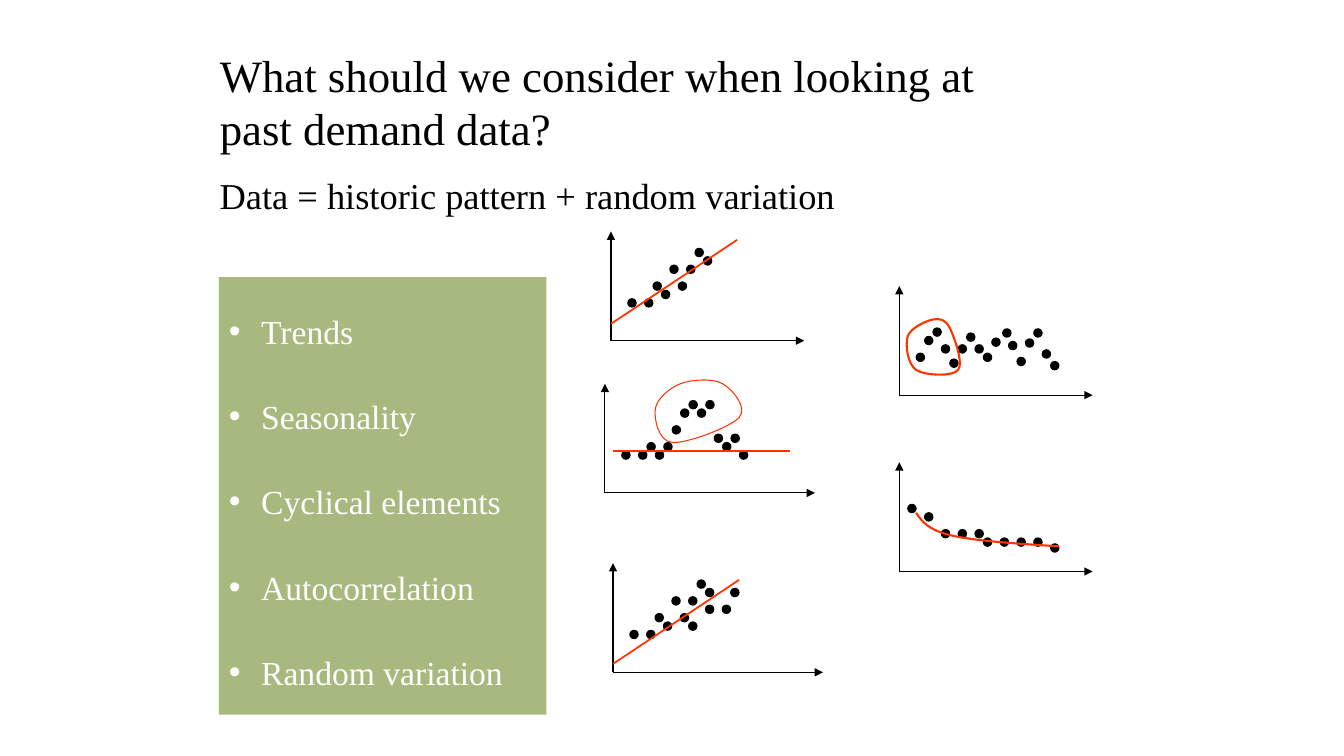
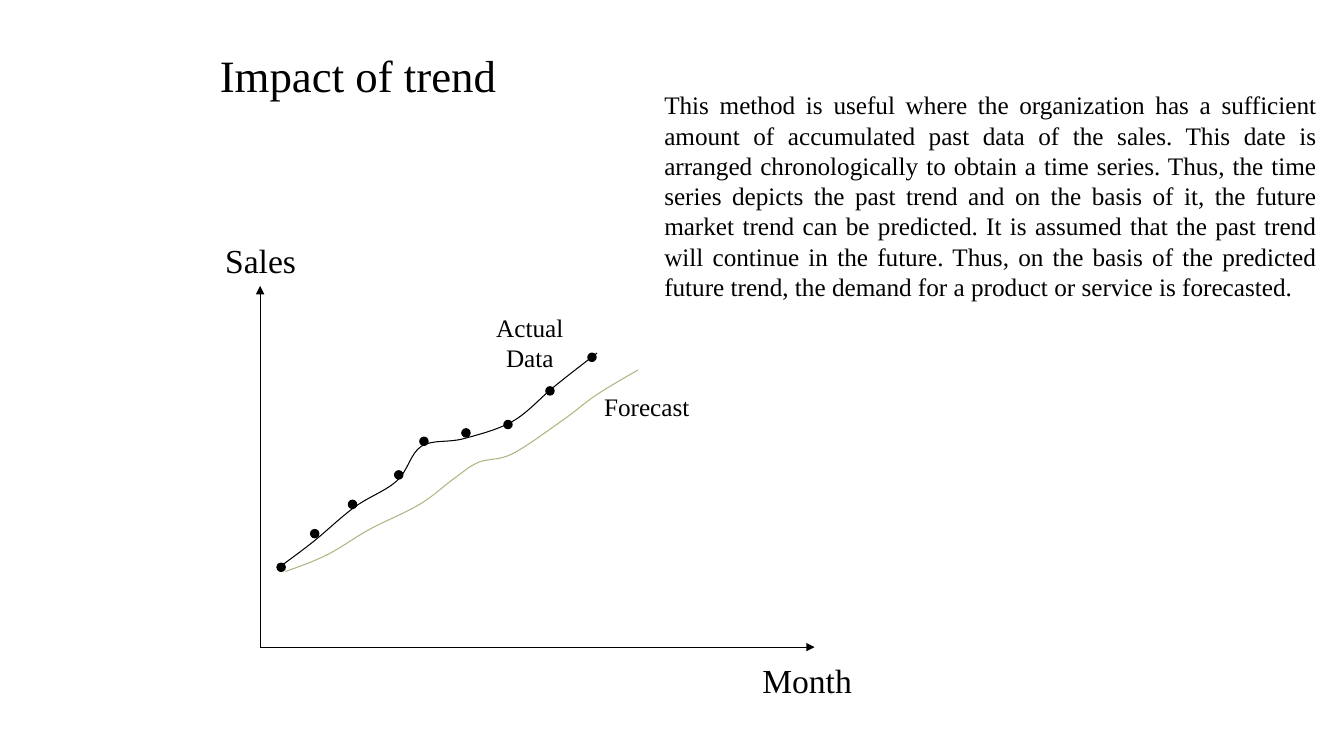
"""Build two slides on patterns in past demand data and the impact of trend."""
from dataclasses import dataclass

from lxml import etree
from pptx import Presentation
from pptx import util as u
from pptx.dml.color import RGBColor
from pptx.enum import shapes, text
from pptx.oxml.ns import qn
from pptx.slide import Slide


@dataclass(frozen=True)
class Theme:
    font: str = "Times New Roman"
    ink: RGBColor = RGBColor.from_string("000000")
    paper: RGBColor = RGBColor.from_string("FFFFFF")
    accent: RGBColor = RGBColor.from_string("FF3300")
    green: RGBColor = RGBColor.from_string("A8B97F")
    title: int = 32
    subtitle: int = 26
    label: int = 24
    body: int = 18
    thin: float = 0.75
    medium: float = 1.25
    thick: float = 1.5
    grid: float = 1 / 12


theme = Theme()


@dataclass
class Stroke:
    """A line through two grid points, or a smooth curve through more."""
    points: list
    color: RGBColor = theme.accent
    width: float = theme.thick
    arrow: bool = False


@dataclass
class Plot:
    """A small chart: origin in inches, everything else in grid steps from it."""
    slide: Slide
    left: float
    base: float
    across: int
    up: int
    columns: list
    heights: list
    strokes: list

    def place(self, x, y):
        return u.Inches(self.left + x * theme.grid), u.Inches(self.base - y * theme.grid)

    def axes(self):
        return [Stroke([(0, 0), tip], theme.ink, theme.thin, arrow=True)
                for tip in ((0, self.up), (self.across, 0))]


def write(shape, content, box, size, color=theme.ink, align=text.PP_ALIGN.LEFT,
          line_spacing=1.0, space_before=0, indent=0):
    """Place a shape and fill it with formatted paragraphs."""
    shape.left, shape.top, shape.width, shape.height = [u.Inches(value) for value in box]
    frame = shape.text_frame
    frame.text = content
    frame.word_wrap = True
    frame.auto_size = text.MSO_AUTO_SIZE.NONE
    frame.vertical_anchor = text.MSO_ANCHOR.TOP
    for paragraph in frame.paragraphs:
        paragraph.alignment = align
        paragraph.line_spacing = line_spacing
        paragraph.space_before = u.Pt(space_before)
        paragraph.font.name = theme.font
        paragraph.font.size = u.Pt(size)
        paragraph.font.color.rgb = color
        if indent:
            properties = paragraph._p.get_or_add_pPr()
            properties.set("marL", str(u.Inches(indent)))
            properties.set("indent", str(-u.Inches(indent)))


def smooth(points):
    """Return leave, arrive and end points of Bezier spans whose slope follows the neighbours."""
    padded = [points[-2], *points, points[1]]
    pulls = [((after[0] - before[0]) / 6, (after[1] - before[1]) / 6)
             for before, after in zip(padded, padded[2:])]
    spans = [[(start[0] + pull[0], start[1] + pull[1]),
              (end[0] - next_pull[0], end[1] - next_pull[1]), end]
             for start, end, pull, next_pull in zip(points, points[1:], pulls, pulls[1:])]
    if points[0] != points[-1]:
        (leave, arrive), (start, end) = (spans[-1][0], spans[0][1]), (points[0], points[-1])
        spans[0][0] = ((start[0] + arrive[0]) / 2, (start[1] + arrive[1]) / 2)
        spans[-1][1] = ((end[0] + leave[0]) / 2, (end[1] + leave[1]) / 2)
    return [point for span in spans for point in span]


presentation = Presentation()
presentation.slide_width = u.Inches(13.33)
presentation.slide_height = u.Inches(7.5)

patterns = presentation.slides.add_slide(presentation.slide_layouts[1])
write(patterns.shapes.title,
      "What should we consider when looking at\npast demand data?",
      (2.08, 0.42, 9.08, 1.17), theme.title)
components = patterns.placeholders[1]
components.fill.solid()
components.fill.fore_color.rgb = theme.green
write(components,
      "Trends\nSeasonality\nCyclical elements\nAutocorrelation\nRandom variation",
      (2.17, 2.75, 3.25, 4.34), theme.label, color=theme.paper,
      line_spacing=1.7, space_before=12, indent=0.32)

trend = presentation.slides.add_slide(presentation.slide_layouts[5])
write(trend.shapes.title, "Impact of trend", (2.08, 0.42, 9.17, 0.63), theme.title)

rising = Plot(
    patterns, left=6.06, base=3.38, across=23, up=13,
    columns=[2, *range(4, 12)],
    heights=[5, 5, 7, 6, 9, 7, 9, 11, 10],
    strokes=[Stroke([(0, 2), (15, 12)], width=theme.medium)])
seasonal = Plot(
    patterns, left=6, base=4.89, across=25, up=13,
    columns=[2, *range(4, 17)],
    heights=[5, 5, 6, 5, 6, 8, 10, 11, 10, 11, 7, 6, 7, 5],
    strokes=[Stroke([(1, 5), (22, 5)]),
             Stroke([(9, 13), (6, 10), (8, 6), (16, 9), (14, 13), (9, 13)], width=theme.thin)])
cyclical = Plot(
    patterns, left=8.92, base=3.92, across=23, up=13,
    columns=[*range(2, 12), 12.3, *range(13, 19)],
    heights=[5, 7, 8, 6, 4.3, 6, 7.4, 6, 5, 6.8, 7.9, 6.4, 4.5, 6.7, 7.9, 5.4, 4],
    strokes=[Stroke([(1, 7), (2, 3), (7, 3), (6, 8), (4, 9), (1, 7)])])
scattered = Plot(
    patterns, left=6.08, base=6.67, across=25, up=13,
    columns=[2, *range(4, 10), *range(9, 12), 11, 13, 14],
    heights=[5, 5, 7, 6, 9, 7, 9, 6, 11, 10, 8, 8, 10],
    strokes=[Stroke([(0, 1), (15, 11)], width=theme.medium)])
decaying = Plot(
    patterns, left=8.92, base=5.67, across=23, up=13,
    columns=[*range(1, 10, 2), *range(10, 19, 2)],
    heights=[8, 7, 5, 5, 5, 4, 4, 4, 4, 3.3],
    strokes=[Stroke([(2, 7), (6.2, 4.3), (19, 3)])])

actual = Stroke(
    [(2.4, 9.6), (6.4, 12.6), (11.3, 16.7), (16.3, 19.8), (19.2, 23.9),
     (24.2, 24.8), (30.1, 26.9), (35, 31), (40.1, 35)], theme.ink, theme.thin)
forecast = Stroke(
    [(3, 9), (8, 11), (13, 14), (19, 17), (23, 20),
     (26, 22), (30, 23), (36, 27), (40, 30), (45, 33)], theme.green, theme.thin)
sales = Plot(
    trend, left=2.58, base=6.42, across=66, up=43,
    columns=[2, 6, 10.5, 16, *range(19, 40, 5)],
    heights=[10, 14, 17.5, 21, 25, 26, 27, 31, 35],
    strokes=[actual, forecast])

for plot in (rising, seasonal, cyclical, scattered, decaying, sales):
    group = plot.slide.shapes.add_group_shape()

    for column, height in zip(plot.columns, plot.heights):
        dot = group.shapes.add_shape(
            shapes.MSO_SHAPE.OVAL, *plot.place(column, height),
            u.Inches(theme.grid), u.Inches(theme.grid))
        dot.shadow.inherit = False
        dot.fill.solid()
        dot.fill.fore_color.rgb = theme.ink
        dot.line.color.rgb = theme.ink
        dot.line.width = u.Pt(theme.thin)

    for stroke in plot.axes() + plot.strokes:
        points = [plot.place(x, y) for x, y in stroke.points]
        if len(points) == 2:
            shape = group.shapes.add_connector(shapes.MSO_CONNECTOR.STRAIGHT, *points[0], *points[1])
        else:
            builder = group.shapes.build_freeform(*points[0])
            builder.add_line_segments(smooth(points), close=points[0] == points[-1])
            shape = builder.convert_to_shape()
            shape.fill.background()
            segments = list(shape._element.iter(qn("a:lnTo")))
            for leave, arrive, end in zip(segments[::3], segments[1::3], segments[2::3]):
                leave.tag = qn("a:cubicBezTo")
                for segment in (arrive, end):
                    leave.append(segment[0])
                    segment.getparent().remove(segment)
        shape.line.color.rgb = stroke.color
        shape.line.width = u.Pt(stroke.width)
        properties = shape._element.spPr
        if stroke.arrow:
            etree.SubElement(properties.find(qn("a:ln")), qn("a:tailEnd"), type="triangle")
        etree.SubElement(properties, qn("a:effectLst"))

explanation = (
    "This method is useful where the organization has a sufficient amount of accumulated "
    "past data of the sales. This date is arranged chronologically to obtain a time series. "
    "Thus, the time series depicts the past trend and on the basis of it, the future market "
    "trend can be predicted. It is assumed that the past trend will continue in the future. "
    "Thus, on the basis of the predicted future trend, the demand for a product or service "
    "is forecasted.")
left, center, justify = text.PP_ALIGN.LEFT, text.PP_ALIGN.CENTER, text.PP_ALIGN.JUSTIFY
captions = [
    (patterns, "Data = historic pattern + random variation",
     (2.08, 1.67, 7.83, 0.54), theme.subtitle, left),
    (trend, "Sales", (2, 2.33, 1.17, 0.5), theme.label, center),
    (trend, "Month", (7.17, 6.5, 1.67, 0.5), theme.label, center),
    (trend, "Actual Data", (4.67, 3.05, 1.17, 0.7), theme.body, center),
    (trend, "Forecast", (5.83, 3.83, 1.17, 0.4), theme.body, center),
    (trend, explanation, (6.49, 0.84, 6.67, 2.52), theme.body, justify),
]
for slide, content, box, size, align in captions:
    write(slide.shapes.add_textbox(0, 0, 0, 0), content, box, size, align=align)

presentation.save("out.pptx")
